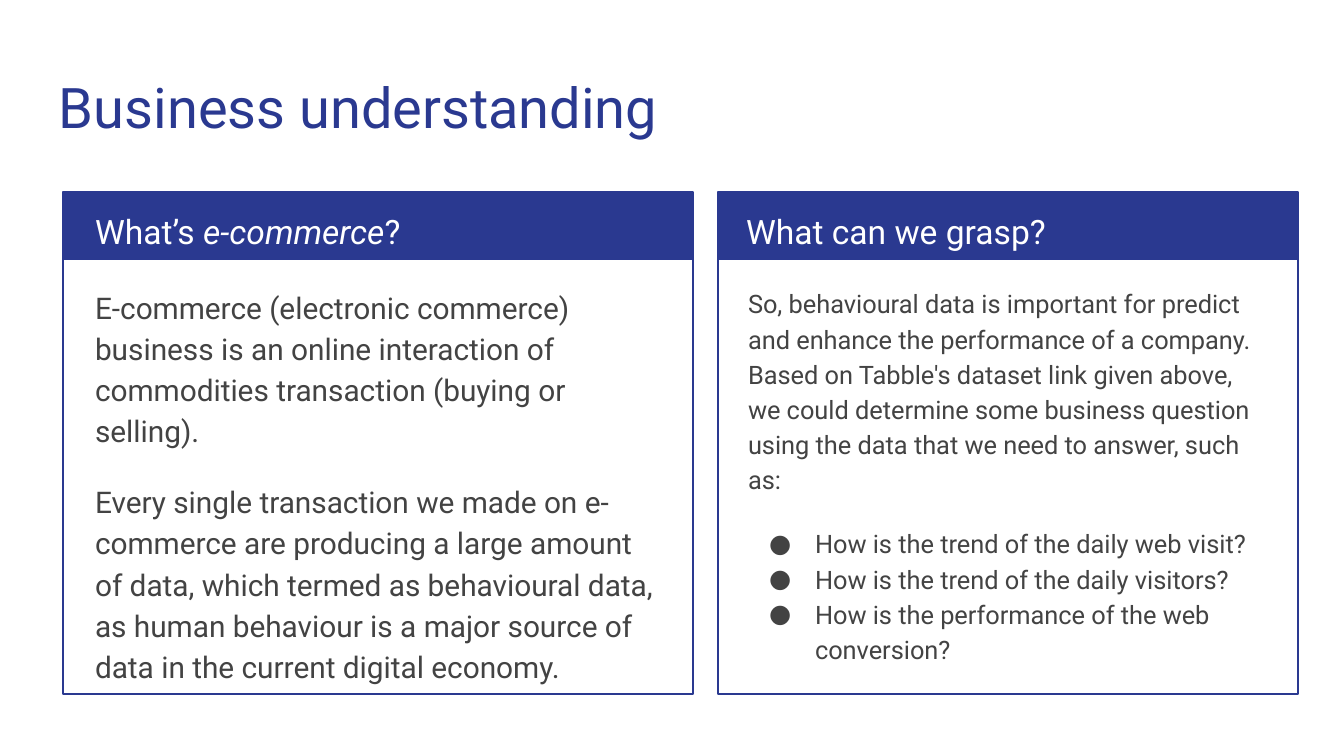
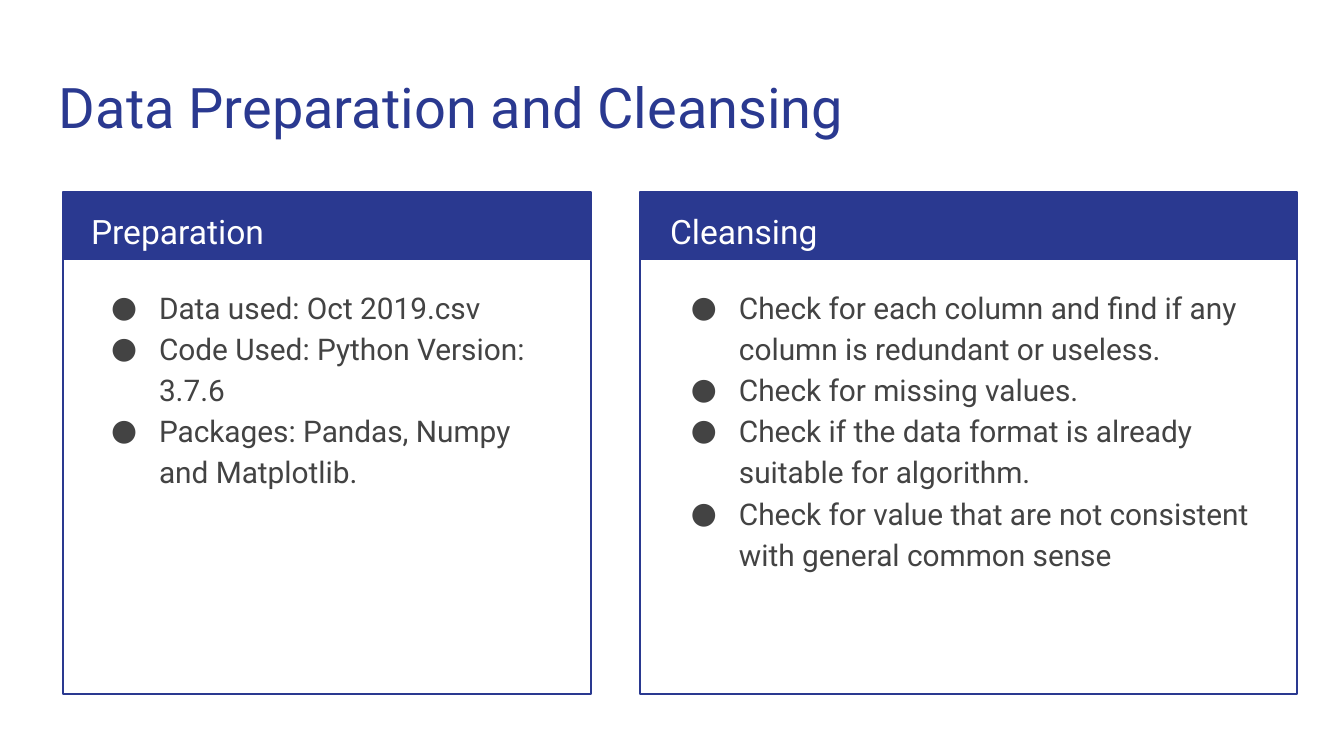
"""Build two slides, each comparing two titled panels."""
import dataclasses
import typing

import lxml.etree
import pptx
import pptx.dml.color
import pptx.enum.shapes
import pptx.enum.text
import pptx.oxml.ns
import pptx.presentation
import pptx.shapes.base
import pptx.slide
import pptx.text.text
import pptx.util

EMU_PER_PIXEL = 914400 / 134.4
COMPARISON_LAYOUT = 4


@dataclasses.dataclass(frozen=True)
class Theme:
    font: str = "Roboto"
    navy: str = "2A3990"
    ink: str = "434343"
    white: str = "FFFFFF"
    title_size: float = 30
    heading_size: float = 18
    body_size: float = 16
    dense_size: float = 13.6
    frame_width: float = 0.75
    line_spacing: float = 1.15
    gap: float = 16
    inset: int = 13


THEME = Theme()


class Box(typing.NamedTuple):
    left: int
    top: int
    width: int
    height: int


class Words(typing.NamedTuple):
    text: str
    italic: bool = False


@dataclasses.dataclass(frozen=True)
class Line:
    words: tuple[Words, ...]
    bullet: bool = False
    before: float = 0
    after: float = 0


@dataclasses.dataclass(frozen=True)
class Style:
    size: float
    color: str
    spacing: float = THEME.line_spacing
    hanging: int = 48


@dataclasses.dataclass(frozen=True)
class Span:
    left: int
    width: int


@dataclasses.dataclass(frozen=True)
class Panel:
    frame: Span
    band_left: int
    heading_span: Span
    body_span: Span
    heading: Line
    body: tuple[Line, ...]
    body_style: Style


@dataclasses.dataclass(frozen=True)
class Comparison:
    title: str
    panels: tuple[Panel, Panel]


TITLE_BOX = Box(46, 60, 1253, 89)
PANEL_TOP, PANEL_HEIGHT, BAND_HEIGHT = 192, 502, 68
BODY_TOP, BODY_HEIGHT = 271, 411
BULLET_INDENT = 67

TITLE_STYLE = Style(THEME.title_size, THEME.navy, spacing=1.0)
HEADING_STYLE = Style(THEME.heading_size, THEME.white)
BODY_STYLE = Style(THEME.body_size, THEME.ink)
DENSE_STYLE = Style(THEME.dense_size, THEME.ink, hanging=46)


def plain(text: str, before: float = 0, after: float = 0) -> Line:
    """Return an unbulleted line in one style."""
    return Line((Words(text),), before=before, after=after)


def bullets(*texts: str, before: float = 0) -> tuple[Line, ...]:
    """Return bulleted lines with a gap above the first."""
    return tuple(
        Line((Words(text),), bullet=True, before=0 if index else before)
        for index, text in enumerate(texts)
    )


COMPARISONS = (
    Comparison("Business understanding", (
        Panel(
            Span(63, 630), 63, Span(82, 598), Span(82, 594),
            Line((Words("What’s "), Words("e-commerce", italic=True), Words("?"))),
            (
                plain("E-commerce (electronic commerce) business is an online interaction "
                      "of commodities transaction (buying or selling)."),
                plain("Every single transaction we made on e-commerce are producing a large "
                      "amount of data, which termed as behavioural data, as human behaviour "
                      "is a major source of data in the current digital economy.",
                      before=THEME.gap, after=THEME.gap),
            ),
            BODY_STYLE,
        ),
        Panel(
            Span(718, 580), 719, Span(733, 550), Span(735, 547),
            plain("What can we grasp?"),
            (
                plain("So, behavioural data is important for predict and enhance the "
                      "performance of a company. Based on Tabble's dataset link given above, "
                      "we could determine some business question using the data that we need "
                      "to answer, such as:"),
                *bullets("How is the trend of the daily web visit?",
                         "How is the trend of the daily visitors?",
                         "How is the performance of the web conversion?",
                         before=THEME.gap),
            ),
            DENSE_STYLE,
        ),
    )),
    Comparison("Data Preparation and Cleansing", (
        Panel(
            Span(63, 528), 63, Span(78, 501), Span(79, 497),
            plain("Preparation"),
            bullets("Data used: Oct 2019.csv",
                    "Code Used: Python Version: 3.7.6",
                    "Packages: Pandas, Numpy and Matplotlib."),
            BODY_STYLE,
        ),
        Panel(
            Span(640, 657), 641, Span(657, 624), Span(659, 620),
            plain("Cleansing"),
            bullets("Check for each column and find if any column is redundant or useless.",
                    "Check for missing values.",
                    "Check if the data format is already suitable for algorithm.",
                    "Check for value that are not consistent with general common sense"),
            BODY_STYLE,
        ),
    )),
)


def px(pixels: float) -> pptx.util.Emu:
    """Convert pixels to EMU."""
    return pptx.util.Emu(round(pixels * EMU_PER_PIXEL))


def rgb(color: str) -> pptx.dml.color.RGBColor:
    """Convert a hex string to a colour."""
    return pptx.dml.color.RGBColor.from_string(color)


def set_bullet(paragraph: pptx.text.text._Paragraph, line: Line, style: Style) -> None:
    """Set the paragraph's indents and its bullet, or remove the inherited one."""
    properties = paragraph._p.get_or_add_pPr()
    qn = pptx.oxml.ns.qn
    properties.set("marL", str(px(BULLET_INDENT) if line.bullet else 0))
    properties.set("indent", str(px(-style.hanging) if line.bullet else 0))
    if not line.bullet:
        lxml.etree.SubElement(properties, qn("a:buNone"))
        return
    bullet_color = lxml.etree.SubElement(properties, qn("a:buClr"))
    lxml.etree.SubElement(bullet_color, qn("a:srgbClr"), val=style.color)
    lxml.etree.SubElement(properties, qn("a:buFont"), typeface=THEME.font)
    lxml.etree.SubElement(properties, qn("a:buChar"), char="●")


def write_line(paragraph: pptx.text.text._Paragraph, line: Line, style: Style) -> None:
    """Write and format one paragraph."""
    paragraph.alignment = pptx.enum.text.PP_ALIGN.LEFT
    paragraph.line_spacing = style.spacing
    paragraph.space_before = pptx.util.Pt(line.before)
    paragraph.space_after = pptx.util.Pt(line.after)
    set_bullet(paragraph, line, style)
    paragraph.font.name = THEME.font
    paragraph.font.size = pptx.util.Pt(style.size)
    paragraph.font.bold = False
    paragraph.font.color.rgb = rgb(style.color)
    for words in line.words:
        run = paragraph.add_run()
        run.text = words.text
        if words.italic:
            run.font.italic = True


def fill_placeholder(placeholder: typing.Any, box: Box,
                     lines: tuple[Line, ...], style: Style) -> None:
    """Move a placeholder and write its lines."""
    placeholder.left, placeholder.top, placeholder.width, placeholder.height = map(px, box)
    frame = placeholder.text_frame
    frame.word_wrap = True
    frame.auto_size = pptx.enum.text.MSO_AUTO_SIZE.NONE
    frame.vertical_anchor = pptx.enum.text.MSO_ANCHOR.TOP
    frame.margin_left = frame.margin_right = px(THEME.inset)
    frame.margin_top = frame.margin_bottom = px(THEME.inset)
    for index, line in enumerate(lines):
        paragraph = frame.add_paragraph() if index else frame.paragraphs[0]
        write_line(paragraph, line, style)


def add_rectangle(slide: pptx.slide.Slide, box: Box, filled: bool,
                  front: pptx.shapes.base.BaseShape) -> None:
    """Add a navy band or outline behind the given shape."""
    rectangle = slide.shapes.add_shape(
        pptx.enum.shapes.MSO_SHAPE.RECTANGLE, *map(px, box))
    rectangle.shadow.inherit = False
    if filled:
        rectangle.fill.solid()
        rectangle.fill.fore_color.rgb = rgb(THEME.navy)
        rectangle.line.fill.background()
    else:
        rectangle.fill.background()
        rectangle.line.color.rgb = rgb(THEME.navy)
        rectangle.line.width = pptx.util.Pt(THEME.frame_width)
    front.element.addprevious(rectangle.element)


def draw_panel(slide: pptx.slide.Slide, panel: Panel, heading: typing.Any,
               body: typing.Any) -> None:
    """Draw one panel with its heading band, frame and text."""
    band = Box(panel.band_left, PANEL_TOP, panel.frame.width, BAND_HEIGHT)
    frame = Box(panel.frame.left, PANEL_TOP, panel.frame.width, PANEL_HEIGHT)
    add_rectangle(slide, band, True, heading)
    add_rectangle(slide, frame, False, heading)
    heading_box = Box(panel.heading_span.left, PANEL_TOP,
                      panel.heading_span.width, BAND_HEIGHT)
    body_box = Box(panel.body_span.left, BODY_TOP, panel.body_span.width, BODY_HEIGHT)
    fill_placeholder(heading, heading_box, (panel.heading,), HEADING_STYLE)
    fill_placeholder(body, body_box, panel.body, panel.body_style)


def add_comparison(deck: pptx.presentation.Presentation, comparison: Comparison) -> None:
    """Add one slide with a title and two panels."""
    slide = deck.slides.add_slide(deck.slide_layouts[COMPARISON_LAYOUT])
    title, *panel_parts = slide.placeholders
    fill_placeholder(title, TITLE_BOX, (plain(comparison.title),), TITLE_STYLE)
    for panel, heading, body in zip(comparison.panels, panel_parts[::2], panel_parts[1::2]):
        draw_panel(slide, panel, heading, body)


def main() -> None:
    """Build and save the deck."""
    deck = pptx.Presentation()
    deck.slide_width, deck.slide_height = px(1344), px(756)
    for comparison in COMPARISONS:
        add_comparison(deck, comparison)
    deck.save("out.pptx")


main()
